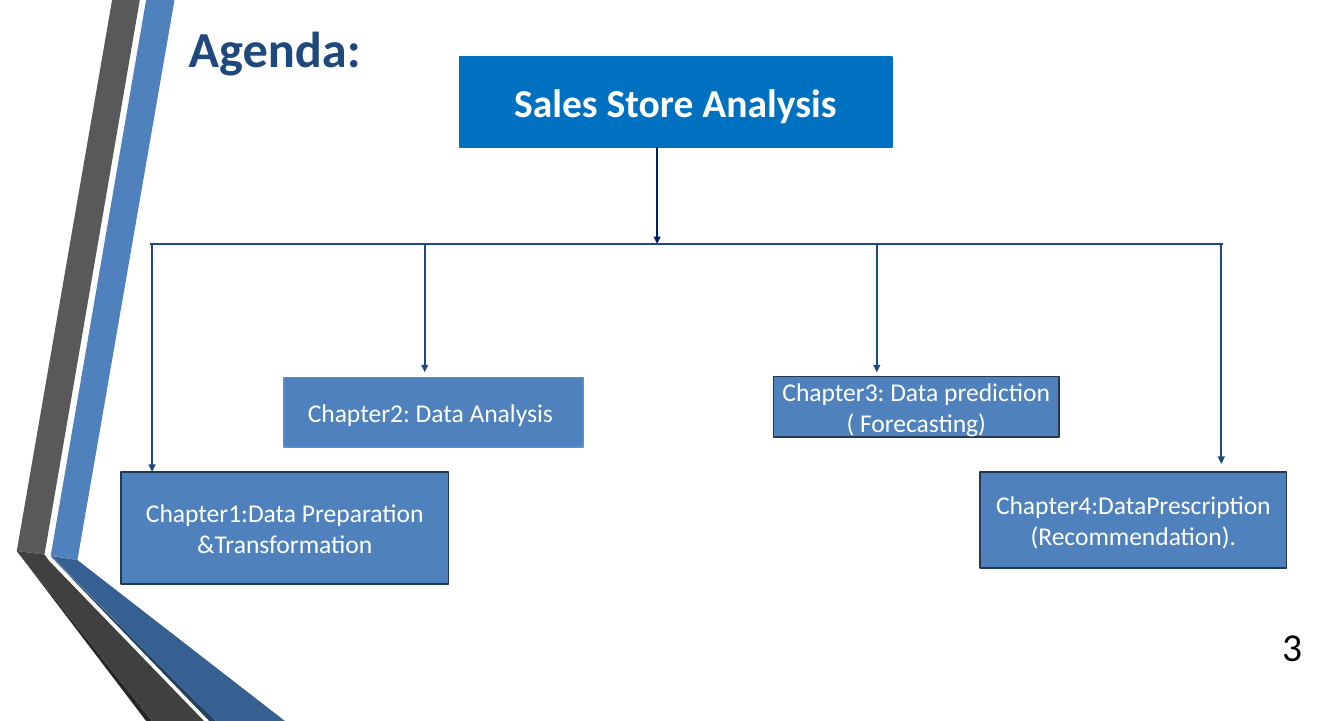
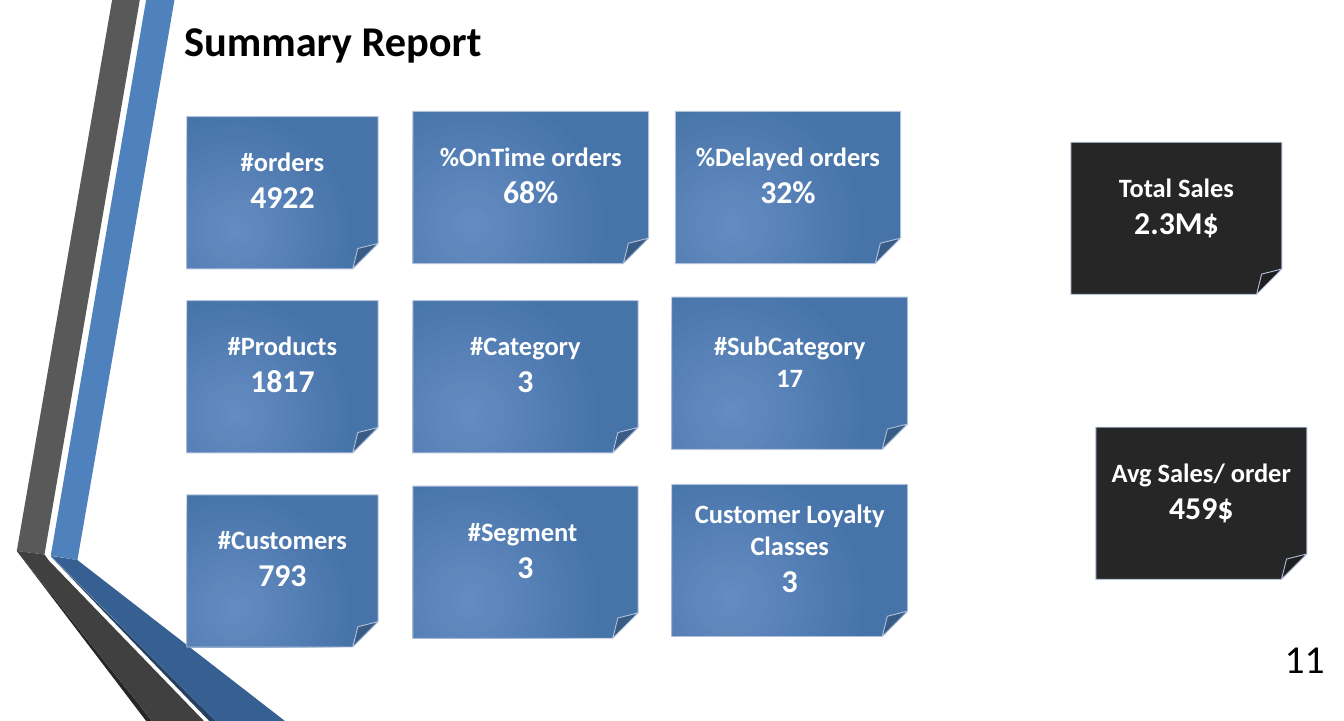
from lxml import etree
from pptx import Presentation
from pptx.dml.color import RGBColor
from pptx.enum import shapes, text
from pptx.oxml import ns
from pptx.util import Cm, Pt

WHITE = RGBColor(0xFF, 0xFF, 0xFF)
BLACK = RGBColor(0, 0, 0)
BLUE = RGBColor(0x4F, 0x81, 0xBD)
SKY = RGBColor(0x55, 0x8E, 0xD5)
ROYAL = RGBColor(0x00, 0x70, 0xC0)
INK = RGBColor(0x1F, 0x49, 0x7D)
NAVY = RGBColor(0x00, 0x20, 0x60)
EDGE = RGBColor(0x23, 0x39, 0x53)
STEEL = RGBColor(0x37, 0x60, 0x92)
DEEP = RGBColor(0x25, 0x40, 0x61)
GREY = RGBColor(0x59, 0x59, 0x59)
DARK = RGBColor(0x40, 0x40, 0x40)
COAL = RGBColor(0x26, 0x26, 0x26)
PALE = RGBColor(0xB3, 0xC1, 0xDB)
GLOW = RGBColor(0x64, 0x8C, 0xC2)
RIM = RGBColor(0x46, 0x73, 0xA8)
FONT = "Calibri"

BANDS = [
    (BLUE, [(145, 1585), (221, 1598), (498, 0), (417, 0)]),
    (GREY, [(399, 0), (320, 0), (48, 1572), (127, 1582)]),
    (COAL, [(48, 1572), (417, 2057), (434, 2057)]),
    (DEEP, [(145, 1588), (597, 2057), (615, 2057)]),
    (STEEL, [(145, 1586), (615, 2057), (813, 2057), (221, 1598)]),
    (DARK, [(582, 2057), (140, 1600), (127, 1582), (48, 1572), (434, 2057)]),
]

ROOT = (9.66, 0, 12.34, 2.57)
SPINE = (0.84, 31.45, 5.33)
STEM = 15.3
DROPS = [(0.89, 11.83), (8.67, 8.99), (21.57, 8.99), (31.4, 11.6)]
PARTS = [
    ("Chapter1:Data Preparation &Transformation", (0, 11.83, 9.35, 3.2), EDGE),
    ("Chapter2: Data Analysis ", (4.65, 9.14, 8.53, 1.98), SKY),
    ("Chapter3: Data prediction ( Forecasting)", (18.62, 9.11, 8.15, 1.73), EDGE),
    ("Chapter4:DataPrescription (Recommendation).", (24.52, 11.83, 8.74, 2.74), EDGE),
]

CARD = 4.34
BIG = 25.7
SMALL = 21.4
COUNTS = [
    ("#orders", "4922", BIG, 0, 0.15, 5.46),
    ("%OnTime orders", "68%", BIG, 6.45, 0, 6.73),
    ("%Delayed orders", "32%", BIG, 13.94, 0, 6.43),
    ("#Products", "1817", BIG, 0, 5.4, 5.46),
    ("#Category", "3", BIG, 6.45, 5.4, 6.43),
    ("#SubCategory", "17", SMALL, 13.84, 5.3, 6.73),
    ("#Customers", "793", BIG, 0, 10.94, 5.46),
    ("#Segment ", "3", BIG, 6.45, 10.69, 6.43),
    ("Customer Loyalty Classes", "3", BIG, 13.84, 10.64, 6.73),
]
SALES = [
    ("Total Sales", "2.3M$", BIG, 0, 0, 6.02),
    ("Avg Sales/ order", "459$", BIG, 0.71, 8.13, 6.02),
]


def shift(box, spot):
    x, y, w, h = box
    return x + spot[0], y + spot[1], w, h


def style(para, size, color, bold=False, align=text.PP_ALIGN.CENTER):
    para.alignment = align
    for run in para.runs:
        font = run.font
        font.name, font.size, font.bold = FONT, Pt(size), bold
        font.color.rgb = color


def block(slide, kind, box, fill, edge, width, lines):
    shape = slide.shapes.add_shape(kind, *map(Cm, box))
    shape.shadow.inherit = False
    if fill:
        shape.fill.solid()
        shape.fill.fore_color.rgb = fill
    else:
        glow(shape)
    shape.line.color.rgb = edge
    shape.line.width = Pt(width)
    frame = shape.text_frame
    frame.word_wrap = True
    frame.vertical_anchor = text.MSO_ANCHOR.MIDDLE
    for i, (words, size, bold) in enumerate(lines):
        para = frame.add_paragraph() if i else frame.paragraphs[0]
        para.text = words
        style(para, size, WHITE, bold)


def glow(shape):
    shape.fill.gradient()
    for stop, color in zip(shape.fill.gradient_stops, (GLOW, RIM)):
        stop.color.rgb = color
    grad = shape.element.spPr.find(ns.qn("a:gradFill"))
    grad.remove(grad.find(ns.qn("a:lin")))
    ring = etree.SubElement(grad, ns.qn("a:path"), path="circle")
    etree.SubElement(ring, ns.qn("a:fillToRect"),
                     l="50000", t="100000", r="100000", b="50000")


def line(slide, start, end, color=INK, arrow=True):
    link = slide.shapes.add_connector(
        shapes.MSO_CONNECTOR.STRAIGHT, *map(Cm, start + end))
    link.line.color.rgb = color
    link.line.width = Pt(1.75)
    if arrow:
        etree.SubElement(link.line._get_or_add_ln(), ns.qn("a:tailEnd"),
                         type="triangle")
    etree.SubElement(link.element.spPr, ns.qn("a:effectLst"))


def bands(slide):
    group = slide.shapes.add_group_shape()
    for color, dots in BANDS:
        form = group.shapes.build_freeform(*dots[0], scale=Cm(0.01))
        form.add_line_segments(dots[1:], close=True)
        shape = form.convert_to_shape()
        shape.shadow.inherit = False
        shape.fill.solid()
        shape.fill.fore_color.rgb = color
        shape.line.fill.background()
    slide.slide_layout.shapes.element.insert(2, group.element)


def title(slide, words, box, size, color):
    head = slide.shapes.title
    head.left, head.top, head.width, head.height = map(Cm, box)
    frame = head.text_frame
    frame.text = words
    frame.auto_size = text.MSO_AUTO_SIZE.NONE
    frame.vertical_anchor = text.MSO_ANCHOR.MIDDLE
    style(frame.paragraphs[0], size, color, True, text.PP_ALIGN.LEFT)


def shade(slide):
    props = slide.shapes.title.text_frame.paragraphs[0].runs[0].font._element
    list_ = etree.Element(ns.qn("a:effectLst"))
    cast = etree.SubElement(list_, ns.qn("a:outerShdw"), blurRad="38100",
                            dist="38100", dir="2700000", algn="tl")
    tint = etree.SubElement(cast, ns.qn("a:srgbClr"), val="000000")
    etree.SubElement(tint, ns.qn("a:alpha"), val="43000")
    props.find(ns.qn("a:solidFill")).addnext(list_)


def page(slide, words, box):
    frame = slide.shapes.add_textbox(*map(Cm, box)).text_frame
    frame.word_wrap = True
    frame.vertical_anchor = text.MSO_ANCHOR.MIDDLE
    frame.text = words
    style(frame.paragraphs[0], 32, BLACK, align=text.PP_ALIGN.RIGHT)


def tree(slide, spot):
    x, y = spot
    rect = shapes.MSO_SHAPE.RECTANGLE
    block(slide, rect, shift(ROOT, spot), ROYAL, ROYAL, 1.25,
          [("Sales Store Analysis", 32, True)])
    left, right, level = SPINE
    rail = y + level
    line(slide, (x + STEM, y + ROOT[3]), (x + STEM, rail), NAVY)
    line(slide, (x + left, rail), (x + right, rail), arrow=False)
    for drop, end in DROPS:
        line(slide, (x + drop, rail), (x + drop, y + end))
    for words, box, edge in PARTS:
        block(slide, rect, shift(box, spot), BLUE, edge, 1.25,
              [(words, 20.7, False)])


def cards(slide, spot, items, fill=None):
    for label, value, size, x, y, width in items:
        block(slide, shapes.MSO_SHAPE.FOLDED_CORNER,
              shift((x, y, width, CARD), spot), fill, PALE, 0.75,
              [(label, SMALL, True), (value, size, True)])


def agenda(slide):
    title(slide, "Agenda:", (5.13, 0.36, 22.94, 2), 40.8, INK)
    shade(slide)
    page(slide, "3", (34.9, 17.88, 2.51, 1.09))
    tree(slide, (3.45, 1.63))


def report(slide):
    title(slide, "Summary Report", (5, 0.25, 22.94, 1.75), 34.3, BLACK)
    page(slide, "11", (35.71, 18.21, 2.34, 1.09))
    cards(slide, (5.33, 3.18), COUNTS)
    cards(slide, (30.56, 4.06), SALES, COAL)


def main():
    deck = Presentation()
    deck.slide_width, deck.slide_height = Cm(38.35), Cm(20.57)
    plain = deck.slide_layouts[5]
    first = deck.slides.add_slide(plain)
    bands(first)
    agenda(first)
    report(deck.slides.add_slide(plain))
    deck.save("out.pptx")


if __name__ == "__main__":
    main()
